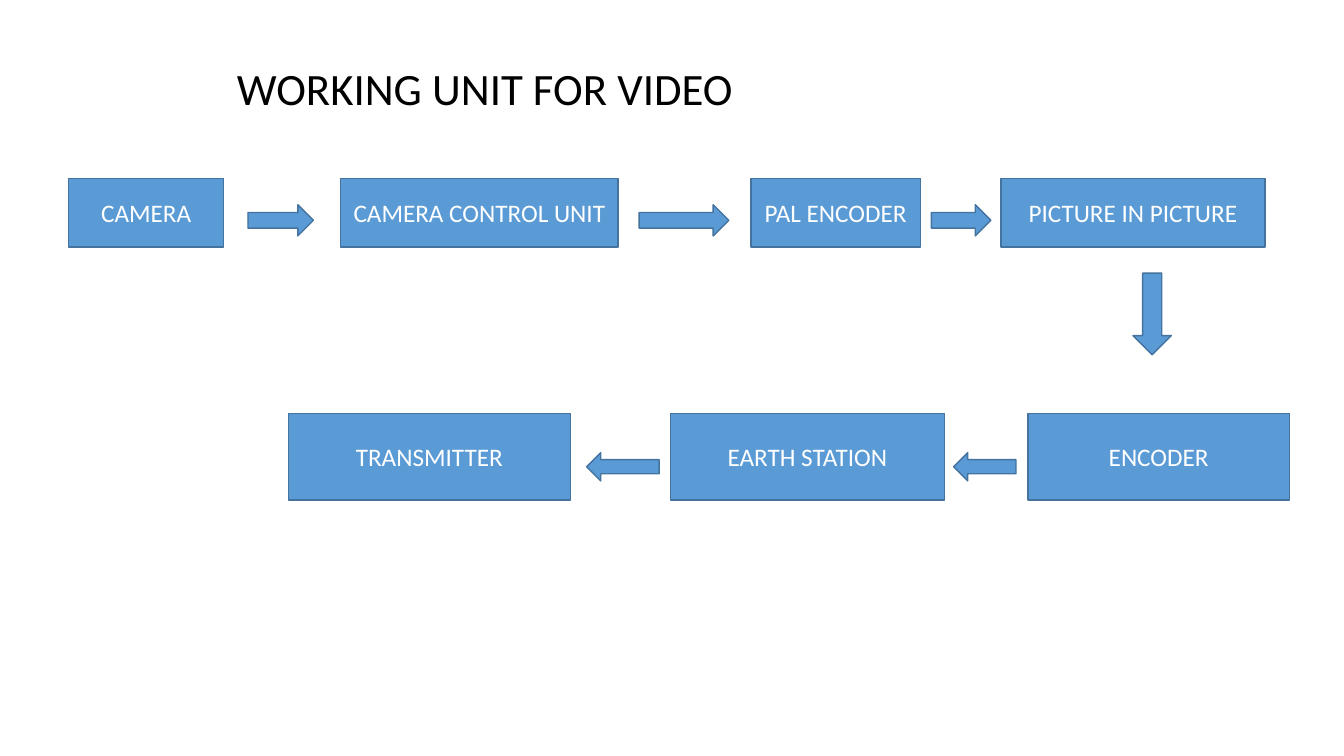
from pptx import Presentation
from pptx import util as u
from pptx.dml.color import RGBColor
from pptx.enum import shapes, text

BLUE = RGBColor(0x5B, 0x9B, 0xD5)
EDGE = RGBColor(0x43, 0x73, 0x9E)
WHITE = RGBColor(0xFF, 0xFF, 0xFF)
BLACK = RGBColor(0, 0, 0)
SHAPE = shapes.MSO_SHAPE

TOP_ROW = [("CAMERA", 49, 110.9), ("CAMERA CONTROL UNIT", 243.4, 198),
           ("PAL ENCODER", 536.4, 121), ("PICTURE IN PICTURE", 715, 188.6)]
BOTTOM_ROW = [("ENCODER", 734.4, 186.5), ("EARTH STATION", 478.8, 195.8),
              ("TRANSMITTER", 205.9, 201.6)]
RIGHT_ARROWS = [(177.1, 46.8), (456.5, 64.1), (665.3, 42.5)]
LEFT_ARROWS = [(681.1, 44.6), (419, 51.8)]


def write(tf, content, size=18, color=WHITE, align=text.PP_ALIGN.CENTER,
          anchor=text.MSO_ANCHOR.MIDDLE):
    tf.word_wrap = True
    tf.vertical_anchor = anchor
    p = tf.paragraphs[0]
    p.alignment = align
    r = p.add_run()
    r.text = content
    r.font.name = "Calibri"
    r.font.size = u.Pt(size)
    r.font.color.rgb = color


def add_title(s, content, x, y, w, h):
    sp = s.shapes.title
    sp.left, sp.top, sp.width, sp.height = map(u.Pt, (x, y, w, h))
    write(sp.text_frame, content, size=32, color=BLACK,
          align=text.PP_ALIGN.LEFT, anchor=text.MSO_ANCHOR.TOP)
    sp.text_frame.auto_size = text.MSO_AUTO_SIZE.SHAPE_TO_FIT_TEXT


def add_block(s, kind, x, y, w, h):
    sp = s.shapes.add_shape(kind, *map(u.Pt, (x, y, w, h)))
    sp.shadow.inherit = False
    sp.fill.solid()
    sp.fill.fore_color.rgb = BLUE
    sp.line.color.rgb = EDGE
    sp.line.width = u.Pt(1)
    return sp


def add_boxes(s, row, y, h):
    for label, x, w in row:
        sp = add_block(s, SHAPE.RECTANGLE, x, y, w, h)
        write(sp.text_frame, label)


def add_arrows(s, kind, row, y, h):
    for x, w in row:
        add_block(s, kind, x, y, w, h)


def main():
    prs = Presentation()
    prs.slide_width, prs.slide_height = u.Pt(960), u.Pt(540)
    s = prs.slides.add_slide(prs.slide_layouts[5])
    add_title(s, "WORKING UNIT FOR VIDEO", 162, 39.6, 588.2, 46.1)
    add_boxes(s, TOP_ROW, 127.4, 49)
    add_boxes(s, BOTTOM_ROW, 295.2, 61.9)
    add_arrows(s, SHAPE.RIGHT_ARROW, RIGHT_ARROWS, 146.2, 22.3)
    add_arrows(s, SHAPE.DOWN_ARROW, [(809.3, 27.4)], 195.1, 58.3)
    add_arrows(s, SHAPE.LEFT_ARROW, LEFT_ARROWS, 323.3, 20.2)
    prs.save("out.pptx")


if __name__ == "__main__":
    main()
